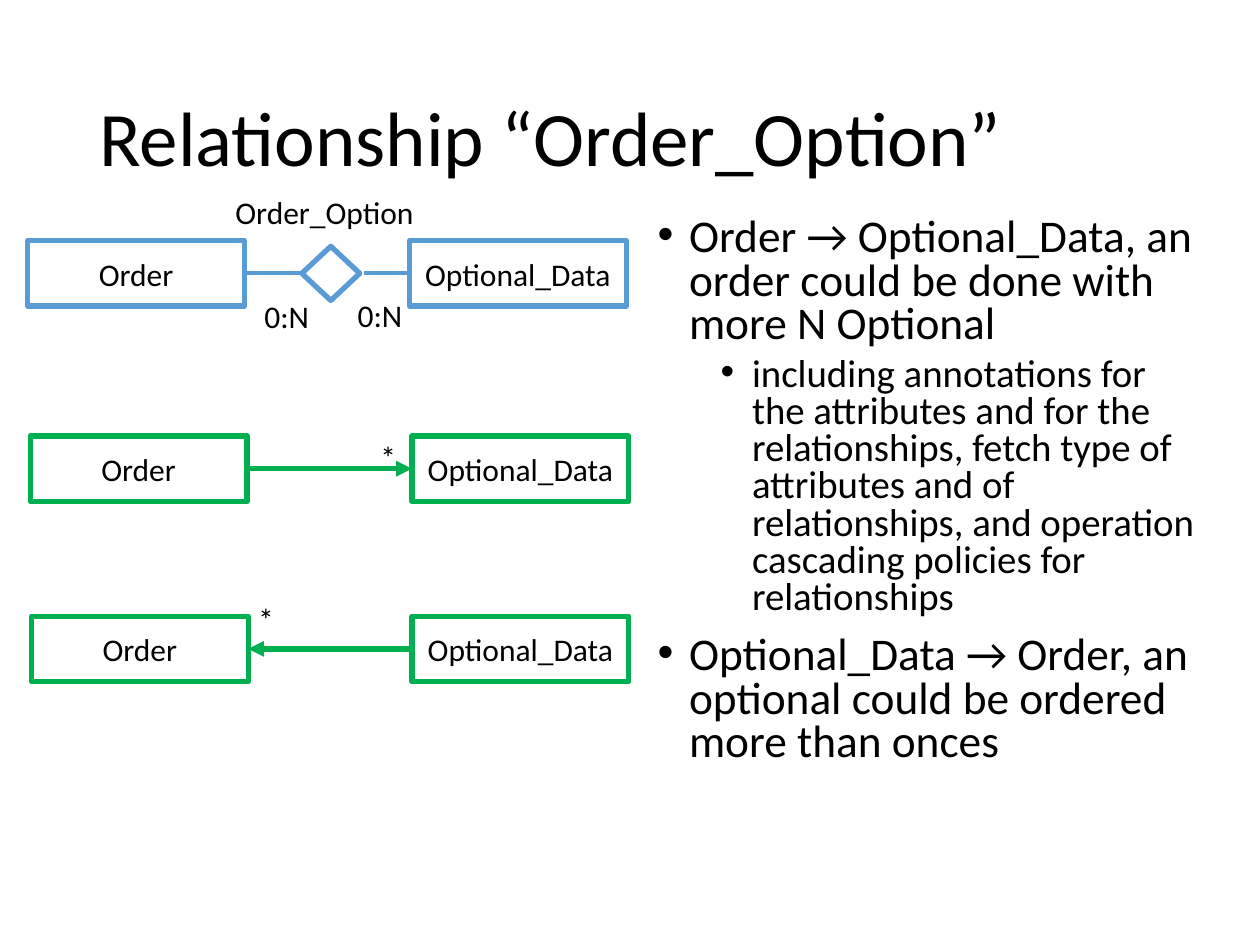
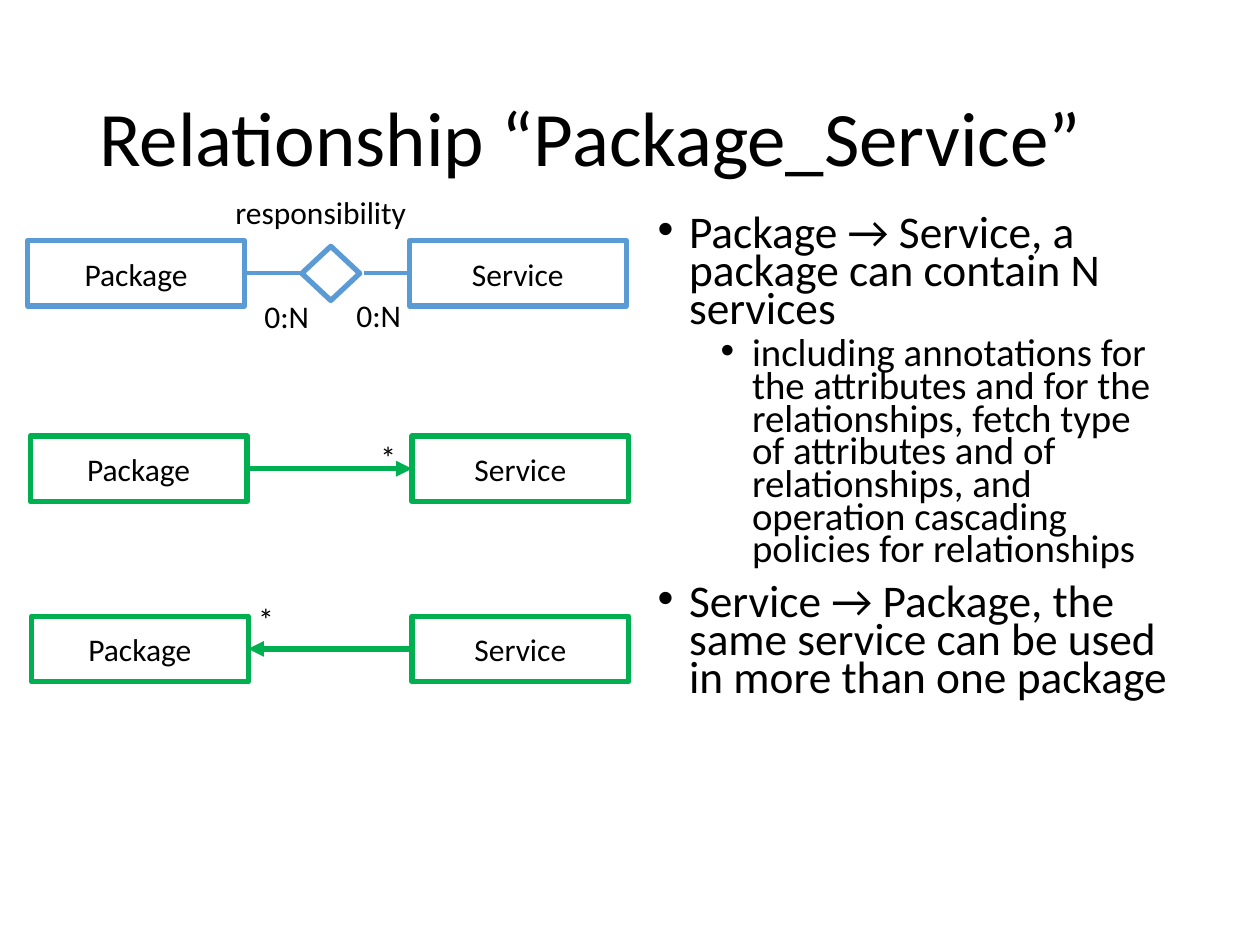
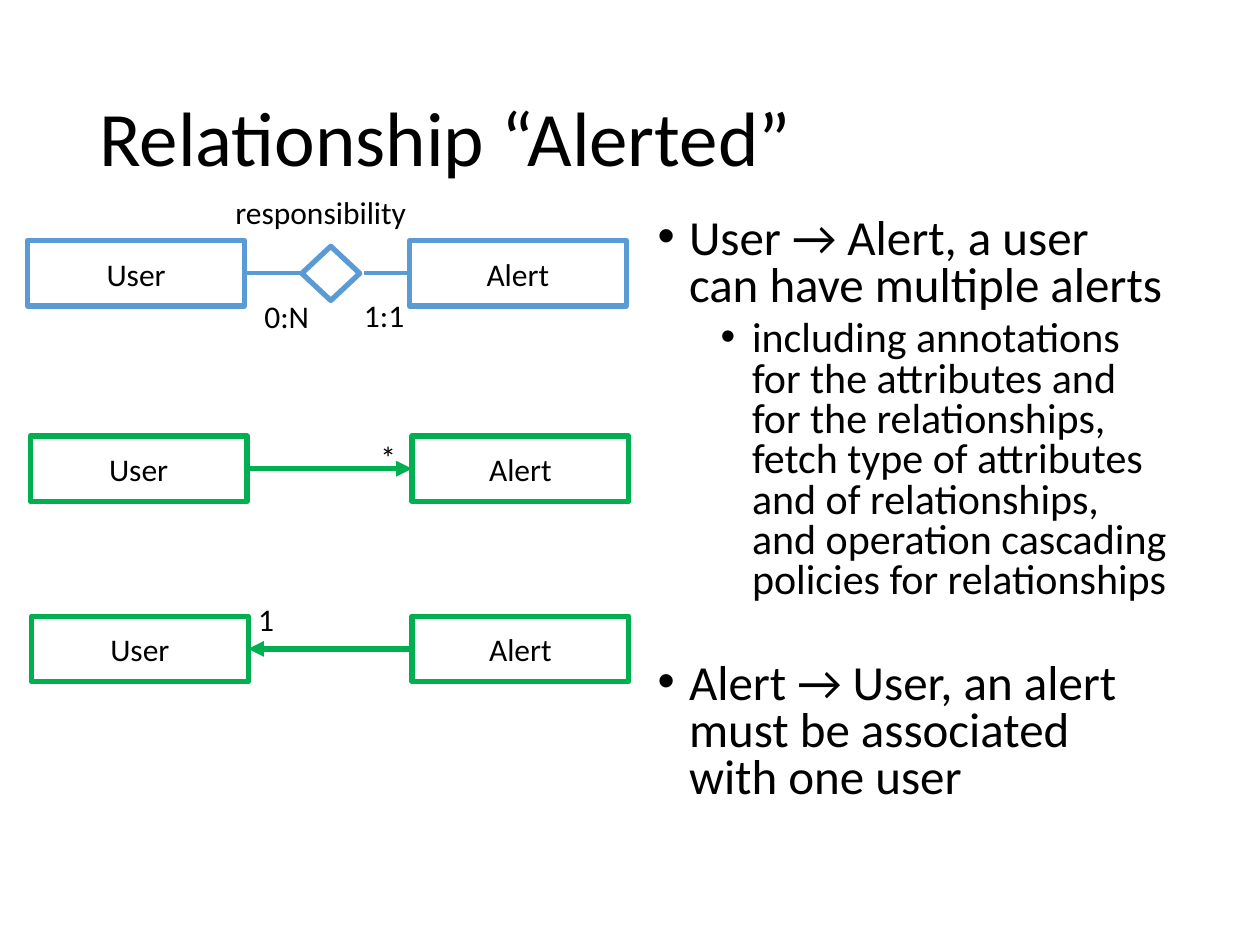
from dataclasses import dataclass

from lxml import etree
from pptx import Presentation
from pptx.dml.color import RGBColor
from pptx.enum.shapes import MSO_CONNECTOR, MSO_SHAPE
from pptx.enum.text import MSO_ANCHOR, MSO_AUTO_SIZE, PP_ALIGN
from pptx.oxml.ns import qn
from pptx.util import Inches, Pt

RECTANGLE, DIAMOND = MSO_SHAPE.RECTANGLE, MSO_SHAPE.DIAMOND
STRAIGHT = MSO_CONNECTOR.STRAIGHT
MIDDLE, CENTER = MSO_ANCHOR.MIDDLE, PP_ALIGN.CENTER
FIT_SHAPE = MSO_AUTO_SIZE.SHAPE_TO_FIT_TEXT
LEFT_SIDE, RIGHT_SIDE = 1, 3

# Shared style
FONT = "Calibri"
BLACK, WHITE, BLUE, GREEN = "000000", "FFFFFF", "5B9BD5", "00B050"
BOX_WIDTH, BOX_HEIGHT = 1.72, 0.52
ER_TOP, FORWARD_TOP, BACKWARD_TOP = 1.91, 3.46, 4.89
ANNOTATIONS = ("including annotations for the attributes and for the relationships, "
               "fetch type of attributes and of relationships, and operation "
               "cascading policies for relationships")


@dataclass(frozen=True)
class Label:
    text: str
    left: float
    top: float
    width: float


@dataclass(frozen=True)
class Bullet:
    text: str
    size: float
    level: int = 0
    space_before: float = 10


@dataclass(frozen=True)
class Relationship:
    name: str
    source: str
    target: str
    role: Label
    target_cardinality: Label
    backward_multiplicity: str
    forward_text: str
    backward_text: str
    text_size: float
    detail_size: float
    line_spacing: float
    body_width: float = 4.25
    backward_space: float = 10


RELATIONSHIPS = [
    Relationship(
        "Order_Option", "Order", "Optional_Data",
        Label("Order_Option", 1.77, 1.48, 1.63), Label("0:N", 2.74, 2.3, 0.56), "*",
        "Order → Optional_Data, an order could be done with more N Optional",
        "Optional_Data → Order, an optional could be ordered more than onces",
        25.9, 22.2, 0.8, body_width=4.55),
    Relationship(
        "Package_Service", "Package", "Service",
        Label("responsibility", 1.77, 1.48, 1.57), Label("0:N", 2.73, 2.3, 0.56), "*",
        "Package → Service, a package can contain N services",
        "Service → Package, the same service can be used in more than one package",
        25.9, 22.2, 0.7),
    Relationship(
        "Alerted", "User", "Alert",
        Label("responsibility", 1.77, 1.48, 1.57), Label("1:1", 2.79, 2.3, 0.53), "1",
        "User → Alert, a user can have multiple alerts",
        "Alert → User, an alert must be associated with one user",
        28, 24, 0.8, backward_space=34),
]


def rgb(color: str) -> RGBColor:
    return RGBColor.from_string(color)


def set_font(paragraph, size: float) -> None:
    paragraph.font.name = FONT
    paragraph.font.size = Pt(size)
    paragraph.font.color.rgb = rgb(BLACK)


def add_title(slide, text: str) -> None:
    frame = slide.shapes.add_textbox(
        Inches(0.69), Inches(0.4), Inches(8.62), Inches(1.45)).text_frame
    frame.word_wrap = True
    frame.vertical_anchor = MIDDLE
    title = frame.paragraphs[0]
    title.text = text
    title.line_spacing = 0.9
    set_font(title, 44)


def add_bullets(slide, bullets: list[Bullet], width: float, line_spacing: float) -> None:
    frame = slide.shapes.add_textbox(
        Inches(5.12), Inches(1.68), Inches(width), Inches(4.76)).text_frame
    frame.word_wrap = True
    for index, bullet in enumerate(bullets):
        paragraph = frame.add_paragraph() if index else frame.paragraphs[0]
        paragraph.text = bullet.text
        paragraph.level = bullet.level
        paragraph.line_spacing = line_spacing
        paragraph.space_before = Pt(bullet.space_before)
        properties = paragraph._p.get_or_add_pPr()
        properties.set("marL", str(Inches(0.25 + 0.5 * bullet.level)))
        properties.set("indent", str(Inches(-0.25)))
        etree.SubElement(properties, qn("a:buFont"), typeface="Arial")
        etree.SubElement(properties, qn("a:buChar"), char="•")
        set_font(paragraph, bullet.size)


def add_label(slide, label: Label) -> None:
    frame = slide.shapes.add_textbox(
        Inches(label.left), Inches(label.top), Inches(label.width), Inches(0.4)).text_frame
    frame.word_wrap = False
    frame.auto_size = FIT_SHAPE
    frame.paragraphs[0].text = label.text
    set_font(frame.paragraphs[0], 18)


def add_outlined(slide, kind, left: float, top: float, width: float, height: float,
                 color: str, filled: bool):
    shape = slide.shapes.add_shape(
        kind, Inches(left), Inches(top), Inches(width), Inches(height))
    shape.shadow.inherit = False
    if filled:
        shape.fill.solid()
        shape.fill.fore_color.rgb = rgb(WHITE)
    else:
        shape.fill.background()
    shape.line.color.rgb = rgb(color)
    shape.line.width = Pt(3)
    return shape


def add_entity(slide, text: str, left: float, top: float, color: str, filled: bool = False):
    entity = add_outlined(slide, RECTANGLE, left, top, BOX_WIDTH, BOX_HEIGHT, color, filled)
    entity.text_frame.vertical_anchor = MIDDLE
    name = entity.text_frame.paragraphs[0]
    name.text = text
    name.alignment = CENTER
    set_font(name, 18)
    return entity


def add_link(slide, start: float, end: float, top: float, color: str, weight: float,
             arrow_end: str = ""):
    """Draw a level line through the middle of the boxes at the given top."""
    middle = Inches(top + BOX_HEIGHT / 2)
    link = slide.shapes.add_connector(STRAIGHT, Inches(start), middle, Inches(end), middle)
    link.line.color.rgb = rgb(color)
    link.line.width = Pt(weight)
    if arrow_end:
        etree.SubElement(link.line._get_or_add_ln(), qn(arrow_end), type="triangle")
    etree.SubElement(link._element.spPr, qn("a:effectLst"))
    return link


def add_er_row(slide, relationship: Relationship) -> None:
    target = add_entity(slide, relationship.target, 3.25, ER_TOP, BLUE, filled=True)
    source = add_entity(slide, relationship.source, 0.22, ER_TOP, BLUE, filled=True)
    diamond = add_outlined(slide, DIAMOND, 2.41, 1.94, 0.43, 0.46, BLUE, filled=True)
    diamond.rotation = 90
    add_link(slide, 3.25, 2.89, ER_TOP, BLUE, 2.25).begin_connect(target, LEFT_SIDE)
    add_link(slide, 2.4, 1.94, ER_TOP, BLUE, 2.25).end_connect(source, RIGHT_SIDE)
    add_label(slide, relationship.target_cardinality)
    add_label(slide, Label("0:N", 2, 2.31, 0.56))
    add_label(slide, relationship.role)


def add_navigation_row(slide, relationship: Relationship, source_left: float, top: float,
                       arrow_end: str) -> None:
    target_left = 3.27
    target = add_entity(slide, relationship.target, target_left, top, GREEN)
    source = add_entity(slide, relationship.source, source_left, top, GREEN)
    link = add_link(slide, target_left, source_left + BOX_WIDTH, top, GREEN, 3, arrow_end)
    link.begin_connect(target, LEFT_SIDE)
    link.end_connect(source, RIGHT_SIDE)


def add_relationship_slide(deck, relationship: Relationship) -> None:
    slide = deck.slides.add_slide(deck.slide_layouts[6])
    add_title(slide, f"Relationship “{relationship.name}”")
    # Explanation on the right
    bullets = [
        Bullet(relationship.forward_text, relationship.text_size),
        Bullet(ANNOTATIONS, relationship.detail_size, level=1, space_before=5),
        Bullet(relationship.backward_text, relationship.text_size,
               space_before=relationship.backward_space),
    ]
    add_bullets(slide, bullets, relationship.body_width, relationship.line_spacing)
    # Diagrams on the left
    add_er_row(slide, relationship)
    add_navigation_row(slide, relationship, 0.24, FORWARD_TOP, "a:headEnd")
    add_navigation_row(slide, relationship, 0.25, BACKWARD_TOP, "a:tailEnd")
    add_label(slide, Label("*", 2.92, 3.43, 0.33))
    add_label(slide, Label(relationship.backward_multiplicity, 1.95, 4.71, 0.33))


def main() -> None:
    deck = Presentation()
    deck.slide_width, deck.slide_height = Inches(10), Inches(7.5)
    for relationship in RELATIONSHIPS:
        add_relationship_slide(deck, relationship)
    deck.save("out.pptx")


if __name__ == "__main__":
    main()
